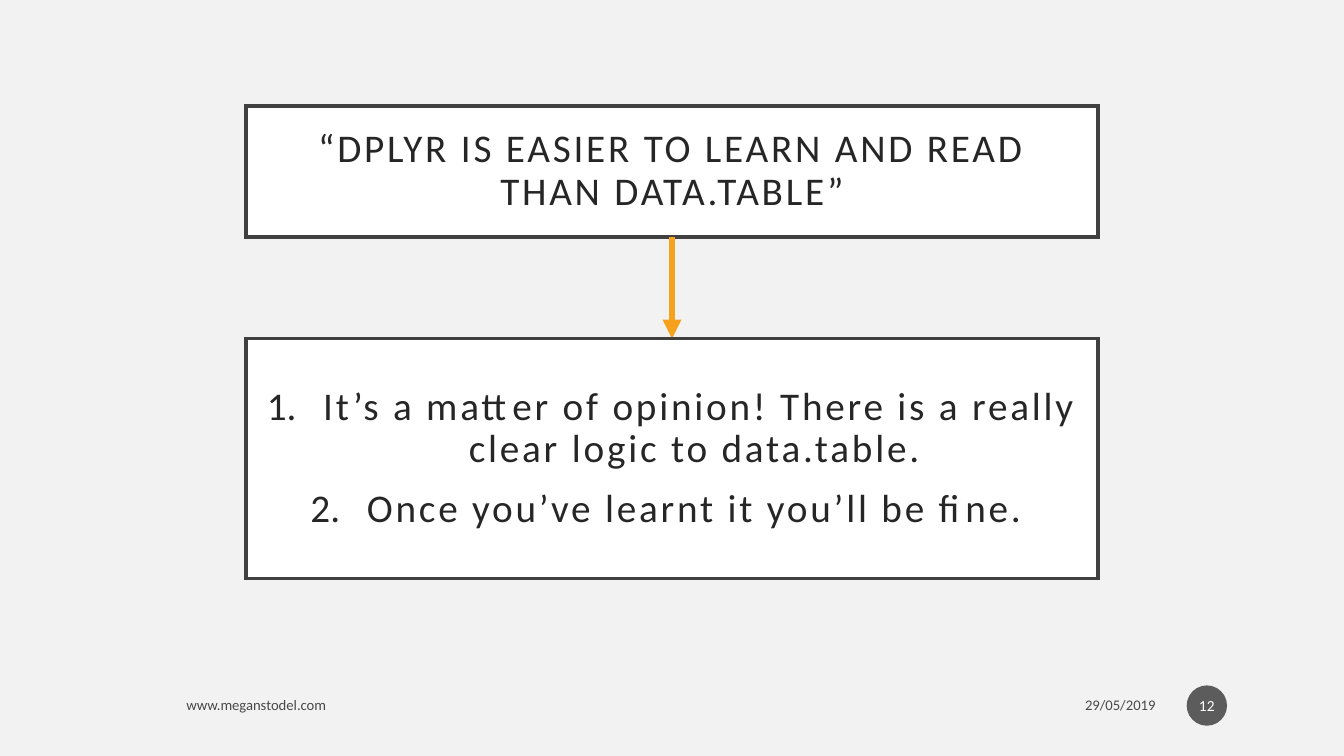
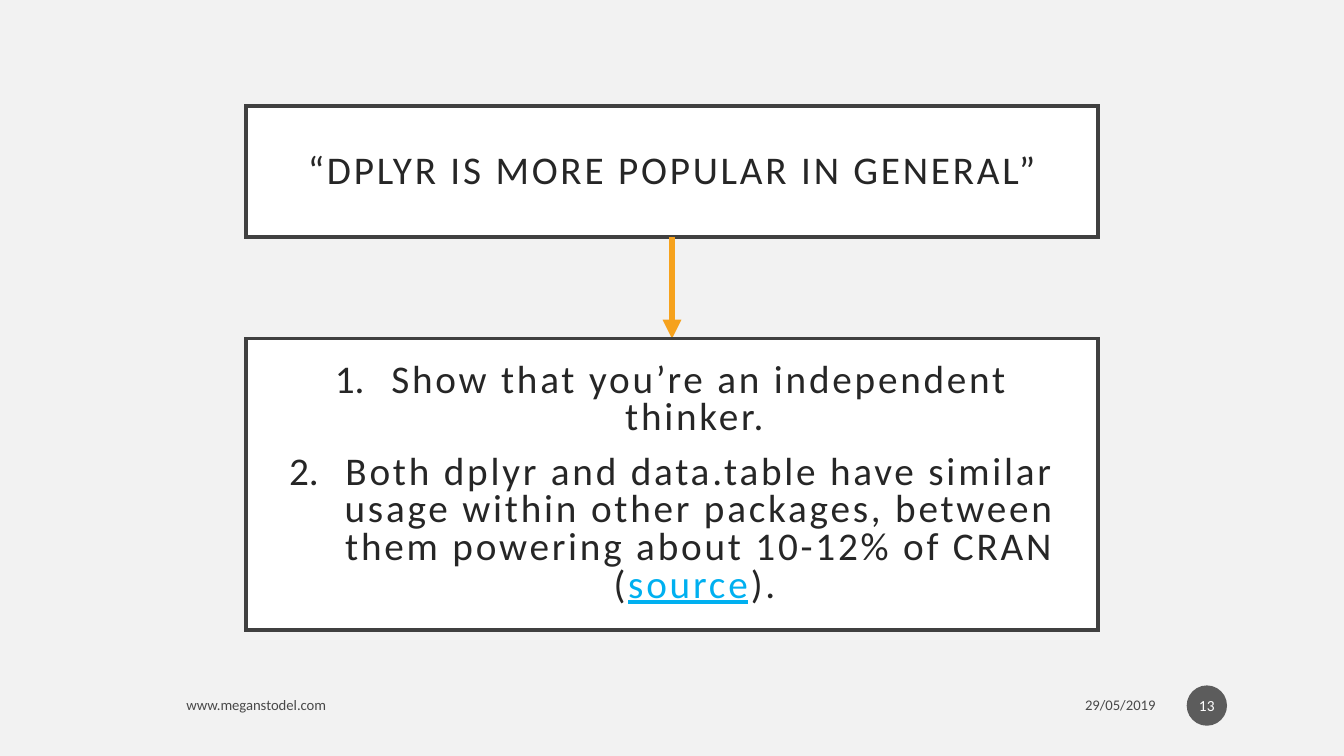
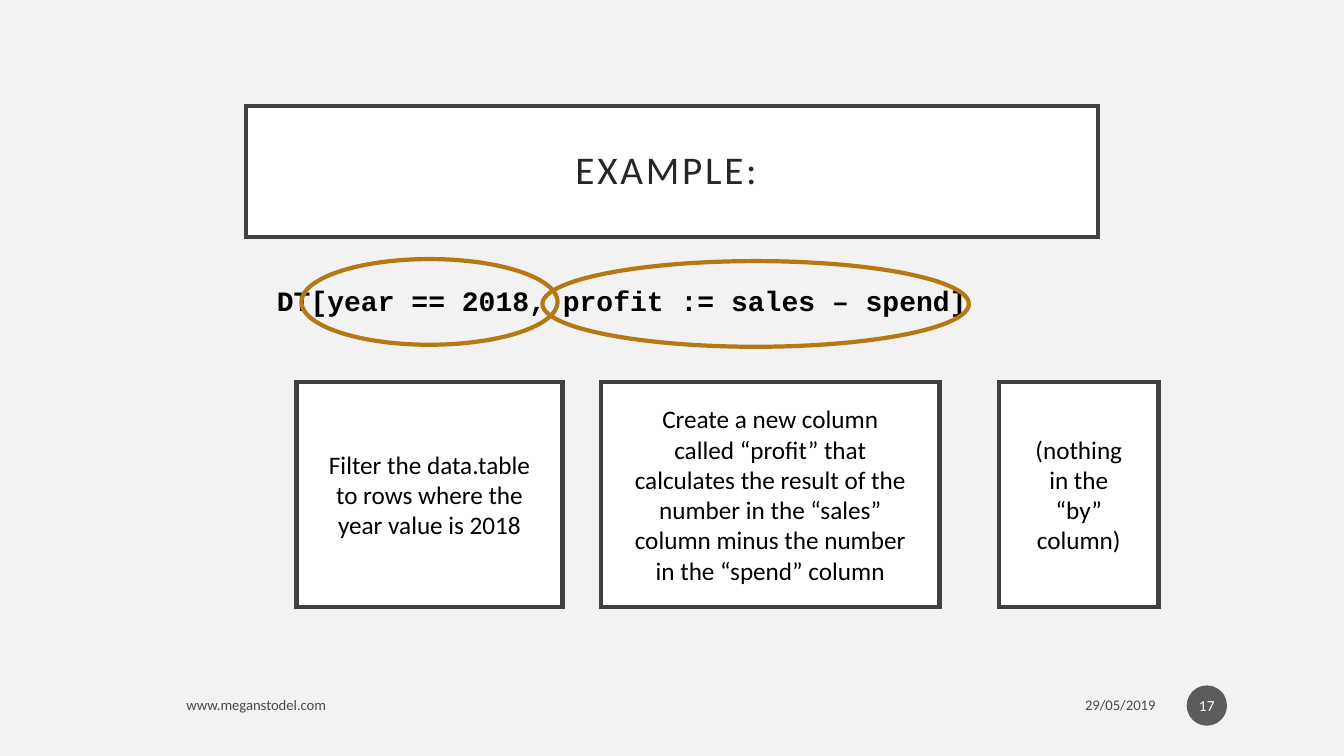
from dataclasses import dataclass, replace
from typing import Optional

from lxml.etree import SubElement
from pptx import Presentation
from pptx.dml.color import RGBColor as RGB
from pptx.enum.shapes import MSO_CONNECTOR as CONN, MSO_SHAPE as SHAPE
from pptx.enum.text import MSO_ANCHOR as ANCHOR, MSO_AUTO_SIZE as FIT, PP_ALIGN as ALIGN
from pptx.oxml.ns import qn
from pptx.util import Inches, Pt

# Grid of 0.1 inch cells
CELL = Inches(0.1)
COLS, ROWS = 133.3, 75


def cells(n: float) -> int:
    return round(n * CELL)


@dataclass(frozen=True)
class Type:
    """Character format; spacing in points, alpha in percent."""
    size: float
    color: str = "000000"
    name: str = "Calibri"
    bold: bool = False
    underline: bool = False
    spacing: float = 0
    alpha: int = 100


@dataclass(frozen=True)
class Theme:
    background: str = "F2F2F2"
    panel: str = "FFFFFF"
    border: str = "404040"
    arrow: str = "F6A21D"
    ring: str = "B67815"
    badge: str = "1D1D1D"
    faded: int = 70
    heading: Type = Type(28, "262626", spacing=2)
    link: Type = Type(28, "00B0F0", underline=True, spacing=2)
    card: Type = Type(18)
    code: Type = Type(20, name="Courier New", bold=True)
    footer: Type = Type(10.5, alpha=70)
    number: Type = Type(11, "FFFFFF")


THEME = Theme()


@dataclass(frozen=True)
class Box:
    """Place in grid cells."""
    left: float
    top: float
    width: float
    height: float

    @property
    def bottom(self) -> float:
        return self.top + self.height

    def emu(self) -> tuple:
        return tuple(map(cells, (self.left, self.top, self.width, self.height)))


@dataclass(frozen=True)
class Para:
    """Runs of (text, type) with paragraph format."""
    runs: tuple
    align: ALIGN = ALIGN.CENTER
    line: Optional[float] = None
    after: float = 0
    numbered: bool = False


@dataclass(frozen=True)
class Answer:
    """A claim answered by a numbered list."""
    number: int
    claim: str
    height: float
    line: float
    points: tuple


@dataclass(frozen=True)
class Card:
    left: float
    width: float
    text: str


PANEL_W = 84.5
TITLE = Box((COLS - PANEL_W) / 2, 10.5, PANEL_W, 13)
ANSWER_TOP = 33.6
HANG = 5.6
PANEL_INSETS = (2, 2, 2, 2)
CARD_INSETS = (3, 2, 3, 2)
TEXT_INSETS = (1, 0.5, 1, 0.5)
BADGE_INSETS = (0.2, 0.5, 0.2, 0.5)


def set_alpha(el, percent: int) -> None:
    if percent < 100:
        clr = next(el.iter(qn("a:srgbClr")))
        SubElement(clr, qn("a:alpha"), val=str(percent * 1000))


def add_run(p, text: str, style: Type) -> None:
    r = p.add_run()
    r.text = text
    values = dict(size=Pt(style.size), name=style.name, bold=style.bold,
                  underline=style.underline)
    for key, value in values.items():
        setattr(r.font, key, value)
    r.font.color.rgb = RGB.from_string(style.color)
    rpr = r._r.get_or_add_rPr()
    set_alpha(rpr, style.alpha)
    if style.spacing:
        rpr.set("spc", str(round(style.spacing * 100)))


def write(sp, paras: tuple, insets: tuple, anchor=ANCHOR.MIDDLE, fit=FIT.NONE) -> None:
    tf = sp.text_frame
    values = dict(word_wrap=True, auto_size=fit, vertical_anchor=anchor)
    sides = ("margin_left", "margin_top", "margin_right", "margin_bottom")
    values.update(zip(sides, map(cells, insets)))
    for key, value in values.items():
        setattr(tf, key, value)
    for i, para in enumerate(paras):
        p = tf.add_paragraph() if i else tf.paragraphs[0]
        if para.numbered:
            ppr = p._p.get_or_add_pPr()
            ppr.set("marL", str(cells(HANG)))
            ppr.set("indent", str(-cells(HANG)))
            SubElement(ppr, qn("a:buFont"), typeface="+mj-lt")
            SubElement(ppr, qn("a:buAutoNum"), type="arabicPeriod")
        for key, value in dict(alignment=para.align, line_spacing=para.line,
                               space_after=Pt(para.after)).items():
            setattr(p, key, value)
        for text, style in para.runs:
            add_run(p, text, style)


def outline(sp, color: str, width: float) -> None:
    sp.line.color.rgb = RGB.from_string(color)
    sp.line.width = Pt(width)


def fill(sp, color: str) -> None:
    sp.fill.solid()
    sp.fill.fore_color.rgb = RGB.from_string(color)


def frame(sp, width: float) -> None:
    """White panel with a square-cornered border."""
    fill(sp, THEME.panel)
    outline(sp, THEME.border, width)
    SubElement(sp.line._get_or_add_ln(), qn("a:miter"), lim="800000")


def add_shape(s, kind: SHAPE, box: Box):
    sp = s.shapes.add_shape(kind, *box.emu())
    sp.shadow.inherit = False
    return sp


def add_panel(s, box: Box, paras: tuple, insets: tuple, border: float) -> None:
    sp = add_shape(s, SHAPE.RECTANGLE, box)
    frame(sp, border)
    write(sp, paras, insets)


def add_text(s, box: Box, text: str, style: Type, align: ALIGN, **options) -> None:
    sp = s.shapes.add_textbox(*box.emu())
    write(sp, (Para(((text, style),), align),), TEXT_INSETS, **options)


def add_ring(s, box: Box) -> None:
    sp = add_shape(s, SHAPE.OVAL, box)
    sp.fill.background()
    outline(sp, THEME.ring, 3)


def add_arrow(s, top: float, bottom: float) -> None:
    x = cells(COLS / 2)
    line = s.shapes.add_connector(CONN.STRAIGHT, x, cells(top), x, cells(bottom))
    outline(line, THEME.arrow, 4.5)
    SubElement(line.line._get_or_add_ln(), qn("a:tailEnd"), type="triangle")
    SubElement(line._element.spPr, qn("a:effectLst"))


def add_slide(prs, title: str, number: int):
    """Slide with the shared title panel, footer and number badge."""
    s = prs.slides.add_slide(prs.slide_layouts[5])
    sp = s.shapes.title
    sp.left, sp.top, sp.width, sp.height = TITLE.emu()
    frame(sp, 2.5)
    write(sp, (Para(((title, THEME.heading),), line=0.9),), PANEL_INSETS)

    badge = add_shape(s, SHAPE.OVAL, Box(117.7, 68, 4, 4))
    fill(badge, THEME.badge)
    set_alpha(badge._element.spPr, THEME.faded)
    badge.line.fill.background()
    write(badge, (Para(((str(number), THEME.number),)),), BADGE_INSETS)

    add_text(s, Box(17.5, 68.2, 64.5, 3.5), "www.meganstodel.com", THEME.footer, ALIGN.LEFT)
    add_text(s, Box(85.5, 68.2, 30.1, 3.5), "29/05/2019", THEME.footer, ALIGN.RIGHT)
    return s


def add_answer(prs, answer: Answer) -> None:
    s = add_slide(prs, answer.claim, answer.number)
    add_arrow(s, TITLE.bottom, ANSWER_TOP)
    first = Para((), line=answer.line, after=12, numbered=True)
    last = len(answer.points) - 1
    paras = tuple(replace(first, runs=runs, after=0 if i == last else 12)
                  for i, runs in enumerate(answer.points))
    add_panel(s, replace(TITLE, top=ANSWER_TOP, height=answer.height),
              paras, PANEL_INSETS, 2.5)


def add_example(prs) -> None:
    s = add_slide(prs, "EXAMPLE: ", 17)
    add_text(s, Box(10.1, 27.6, 103.2, 4.4), "DT[year == 2018, profit := sales – spend]",
             THEME.code, ALIGN.CENTER, anchor=ANCHOR.TOP, fit=FIT.SHAPE_TO_FIT_TEXT)
    for ring in (Box(29.9, 25.7, 25.4, 8.5), Box(53.8, 25.9, 42.3, 8.5)):
        add_ring(s, ring)
    for card in CARDS:
        add_panel(s, Box(card.left, 37.9, card.width, 22.3),
                  (Para(((card.text, THEME.card),)),), CARD_INSETS, 3)


# Content
ANSWERS = (
    Answer(12, "“DPLYR IS EASIER TO LEARN AND READ THAN DATA.TABLE”", 23.8, 0.9, (
        (("It’s a matter of opinion! There is a really clear logic to data.table. ",
          THEME.heading),),
        (("Once you’ve learnt it you’ll be fine. ", THEME.heading),),
    )),
    Answer(13, "“DPLYR IS MORE POPULAR IN GENERAL”", 28.9, 0.8, (
        (("Show that you’re an independent thinker. ", THEME.heading),),
        (("Both dplyr and data.table have similar usage within other packages, "
          "between them powering about 10-12% of CRAN (", THEME.heading),
         ("source", THEME.link),
         ("). ", THEME.heading)),
    )),
)
CARDS = (
    Card(29.4, 26.4, "Filter the data.table to rows where the year value is 2018"),
    Card(59.6, 33.6, "Create a new column called “profit” that calculates the result of "
                     "the number in the “sales” column minus the number in the “spend” column"),
    Card(99.1, 15.8, "(nothing in the “by” column)"),
)


def main() -> None:
    prs = Presentation()
    prs.slide_width, prs.slide_height = cells(COLS), cells(ROWS)
    fill(prs.slide_master.background, THEME.background)
    for answer in ANSWERS:
        add_answer(prs, answer)
    add_example(prs)
    prs.save("out.pptx")


if __name__ == "__main__":
    main()
